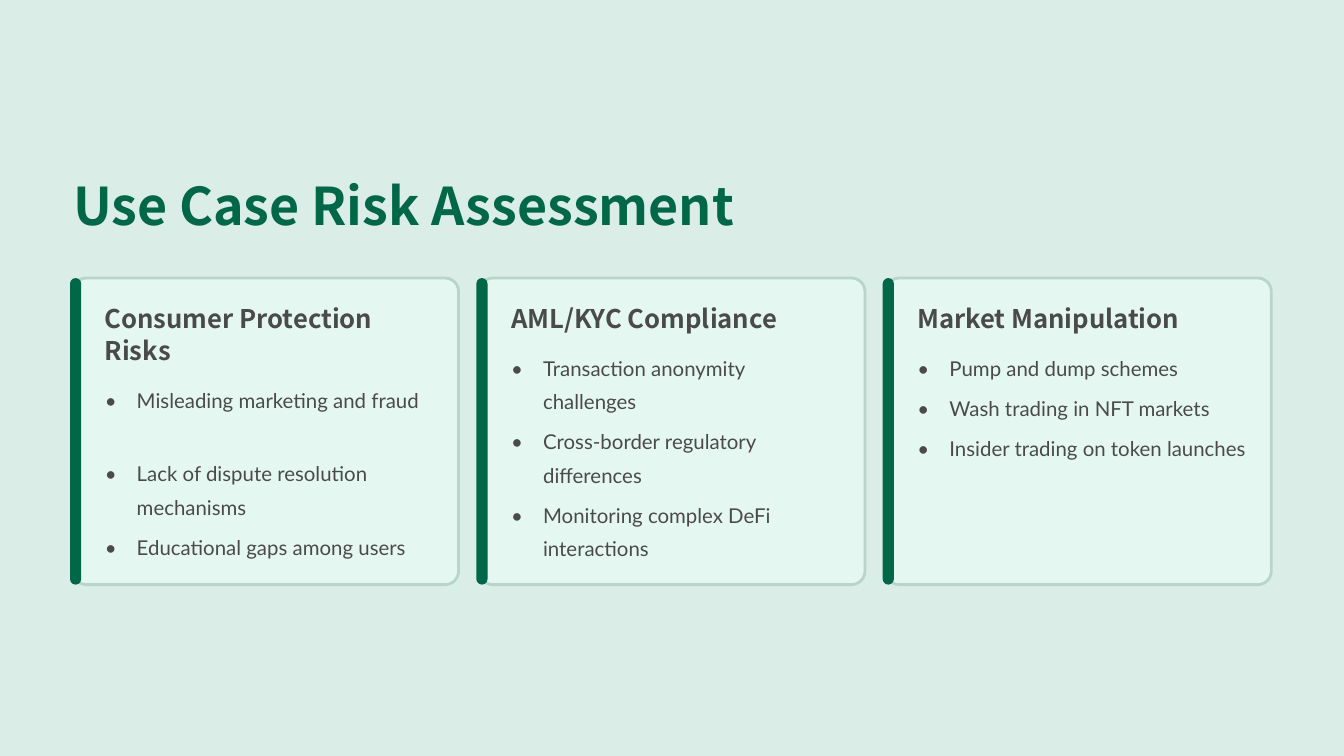
from copy import deepcopy
from dataclasses import dataclass

from lxml.etree import SubElement
from pptx import Presentation
from pptx.dml.color import RGBColor
from pptx.enum.shapes import MSO_SHAPE as Shape
from pptx.enum.text import MSO_ANCHOR as Anchor, MSO_AUTO_SIZE as AutoSize, PP_ALIGN as Align
from pptx.oxml.ns import qn
from pptx.util import Pt


@dataclass(frozen=True)
class TextStyle:
    font: str
    size: float
    color: str
    leading: float
    bold: bool = False


@dataclass(frozen=True)
class Theme:
    background: str = "DAEDE6"
    card: str = "E4F8F1"
    border: str = "B7D5CA"
    accent: str = "006747"
    title: TextStyle = TextStyle("Noto Sans CJK SC", 44.5, "006747", 55.5, True)
    heading: TextStyle = TextStyle("Noto Sans CJK SC", 22, "4B4A4A", 27.5, True)
    item: TextStyle = TextStyle("Lato", 17.5, "4B4A4A", 28.5)


@dataclass(frozen=True)
class Box:
    left: float
    top: float
    width: float
    height: float

    def lengths(self) -> tuple:
        return Pt(self.left), Pt(self.top), Pt(self.width), Pt(self.height)


@dataclass(frozen=True)
class Item:
    text: str
    after: float = 6


@dataclass(frozen=True)
class Card:
    heading: str
    items: tuple
    heading_lines: int = 1


THEME = Theme()
CARD_LEFT, CARD_TOP, CARD_WIDTH, CARD_HEIGHT = 62.6, 238.3, 330.5, 262.8
CARD_PITCH = 348.3
TEXT_INSET, HEADING_INSET, TEXT_WIDTH = 27.2, 20.2, 283
HEADING_GAP, LIST_INDENT = 11.6, 27.4

CARDS = (
    Card("Consumer Protection Risks", (
        Item("Misleading marketing and fraud", after=34.5),
        Item("Lack of dispute resolution mechanisms"),
        Item("Educational gaps among users"),
    ), heading_lines=2),
    Card("AML/KYC Compliance", (
        Item("Transaction anonymity challenges"),
        Item("Cross-border regulatory differences"),
        Item("Monitoring complex DeFi interactions"),
    )),
    Card("Market Manipulation", (
        Item("Pump and dump schemes"),
        Item("Wash trading in NFT markets"),
        Item("Insider trading on token launches"),
    )),
)


def add_list_placeholders(layout, count: int) -> None:
    """Give the layout one body placeholder per card."""
    body = layout.placeholders[1].element
    for n in range(1, count):
        extra = deepcopy(body)
        extra.nvSpPr.cNvPr.set("id", str(20 + n))
        extra.nvSpPr.cNvPr.set("name", f"Content Placeholder {20 + n}")
        extra.nvSpPr.nvPr.find(qn("p:ph")).set("idx", str(20 + n))
        body.getparent().append(extra)


def place(sp, box: Box) -> None:
    sp.left, sp.top, sp.width, sp.height = box.lengths()


def bring_to_front(sp) -> None:
    sp.element.getparent().append(sp.element)


def prepare_frame(tf, wrap: bool = True) -> None:
    tf.margin_left = tf.margin_top = tf.margin_right = tf.margin_bottom = 0
    tf.word_wrap = wrap
    tf.auto_size = AutoSize.NONE
    tf.vertical_anchor = Anchor.TOP


def write(p, text: str, style: TextStyle, after: float = 0) -> None:
    p.alignment = Align.LEFT
    p.line_spacing = Pt(style.leading)
    p.space_before, p.space_after = Pt(0), Pt(after)
    r = p.add_run()
    r.text = text
    r.font.name, r.font.size, r.font.bold = style.font, Pt(style.size), style.bold
    r.font.color.rgb = RGBColor.from_string(style.color)


def add_bullet(p, font: str) -> None:
    pPr = p._p.get_or_add_pPr()
    pPr.set("marL", str(Pt(LIST_INDENT)))
    pPr.set("indent", str(-Pt(LIST_INDENT)))
    SubElement(pPr, qn("a:buFont")).set("typeface", font)
    SubElement(pPr, qn("a:buChar")).set("char", "•")


def add_rounded(s, box: Box, radius: float, fill: str, border: str = ""):
    sp = s.shapes.add_shape(Shape.ROUNDED_RECTANGLE, *box.lengths())
    sp.adjustments[0] = radius
    sp.shadow.inherit = False
    sp.fill.solid()
    sp.fill.fore_color.rgb = RGBColor.from_string(fill)
    if border:
        sp.line.color.rgb = RGBColor.from_string(border)
        sp.line.width = Pt(2.4)
    else:
        sp.line.fill.background()


def add_card(s, card: Card, left: float, body) -> None:
    add_rounded(s, Box(left, CARD_TOP, CARD_WIDTH, CARD_HEIGHT), 0.044, THEME.card, THEME.border)
    add_rounded(s, Box(left - 2.6, CARD_TOP, 9.6, CARD_HEIGHT), 0.5, THEME.accent)

    text_left, top = left + TEXT_INSET, CARD_TOP + HEADING_INSET
    height = card.heading_lines * THEME.heading.leading
    heading = s.shapes.add_textbox(*Box(text_left, top, TEXT_WIDTH, height).lengths())
    prepare_frame(heading.text_frame)
    write(heading.text_frame.paragraphs[0], card.heading, THEME.heading)

    top += height + HEADING_GAP
    place(body, Box(text_left, top, TEXT_WIDTH, CARD_TOP + CARD_HEIGHT - top))
    bring_to_front(body)
    tf = body.text_frame
    prepare_frame(tf)
    for n, item in enumerate(card.items):
        p = tf.add_paragraph() if n else tf.paragraphs[0]
        write(p, item.text, THEME.item, item.after)
        add_bullet(p, THEME.item.font)


def main() -> None:
    prs = Presentation()
    prs.slide_width, prs.slide_height = Pt(1152), Pt(648)
    layout = prs.slide_layouts[1]
    add_list_placeholders(layout, len(CARDS))
    s = prs.slides.add_slide(layout)
    s.background.fill.solid()
    s.background.fill.fore_color.rgb = RGBColor.from_string(THEME.background)

    title = s.shapes.title
    place(title, Box(CARD_LEFT, 146.9, 587.5, 56.2))
    prepare_frame(title.text_frame, wrap=False)
    write(title.text_frame.paragraphs[0], "Use Case Risk Assessment", THEME.title)

    bodies = [ph for ph in s.placeholders if ph.placeholder_format.idx]
    for n, (card, body) in enumerate(zip(CARDS, bodies)):
        add_card(s, card, CARD_LEFT + n * CARD_PITCH, body)
    prs.save("out.pptx")


if __name__ == "__main__":
    main()
